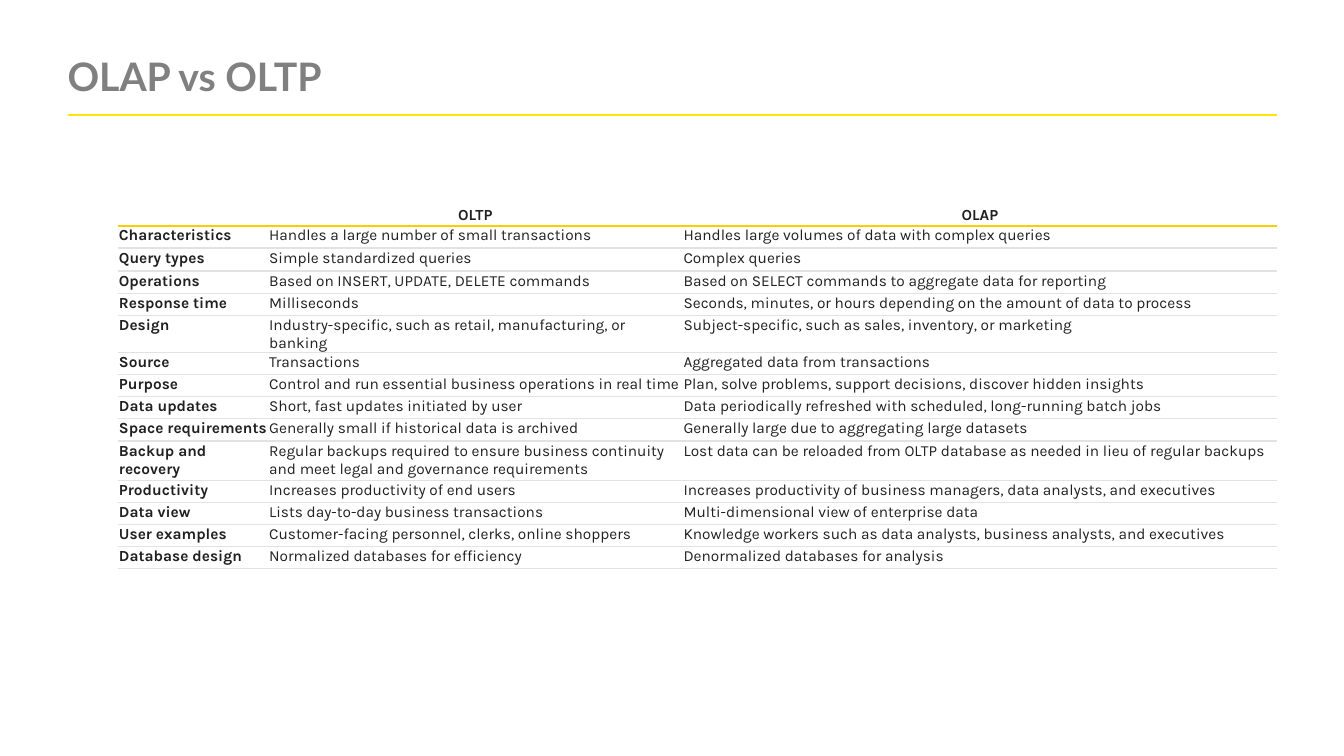
from lxml.etree import SubElement
from pptx import Presentation
from pptx.dml.color import RGBColor
from pptx.enum.shapes import MSO_CONNECTOR
from pptx.enum.text import MSO_ANCHOR, PP_ALIGN
from pptx.oxml.ns import qn
from pptx.util import Inches, Pt

COLUMN_WIDTHS = (1.49, 4.11, 5.9)
ROW_HEIGHT = 0.22
TALL_ROWS = {"Query types": 0.23, "Backup and recovery": 0.39}
TEXT_SIZE = 11
COMPARISON = [
    ("", "OLTP", "OLAP"),
    ("Characteristics", "Handles a large number of small transactions",
     "Handles large volumes of data with complex queries"),
    ("Query types", "Simple standardized queries", "Complex queries"),
    ("Operations", "Based on INSERT, UPDATE, DELETE commands",
     "Based on SELECT commands to aggregate data for reporting"),
    ("Response time", "Milliseconds",
     "Seconds, minutes, or hours depending on the amount of data to process"),
    ("Design", "Industry-specific, such as retail, manufacturing, or banking",
     "Subject-specific, such as sales, inventory, or marketing"),
    ("Source", "Transactions", "Aggregated data from transactions"),
    ("Purpose", "Control and run essential business operations in real time",
     "Plan, solve problems, support decisions, discover hidden insights"),
    ("Data updates", "Short, fast updates initiated by user",
     "Data periodically refreshed with scheduled, long-running batch jobs"),
    ("Space requirements", "Generally small if historical data is archived",
     "Generally large due to aggregating large datasets"),
    ("Backup and recovery",
     "Regular backups required to ensure business continuity and meet legal and governance requirements",
     "Lost data can be reloaded from OLTP database as needed in lieu of regular backups"),
    ("Productivity", "Increases productivity of end users",
     "Increases productivity of business managers, data analysts, and executives"),
    ("Data view", "Lists day-to-day business transactions",
     "Multi-dimensional view of enterprise data"),
    ("User examples", "Customer-facing personnel, clerks, online shoppers",
     "Knowledge workers such as data analysts, business analysts, and executives"),
    ("Database design", "Normalized databases for efficiency",
     "Denormalized databases for analysis"),
]


def color(hex_code):
    """Turn a hex string into a colour."""
    return RGBColor.from_string(hex_code)


def add_text(paragraph, text, font_name, size, hex_code, bold):
    """Add one formatted run."""
    run = paragraph.add_run()
    run.text = text
    run.font.name = font_name
    run.font.size = Pt(size)
    run.font.bold = bold
    run.font.color.rgb = color(hex_code)


def set_border(cell, side, hex_code=None, width=1):
    """Draw one side of a cell, or clear it when no colour is given."""
    border = SubElement(cell._tc.get_or_add_tcPr(), qn(f"a:ln{side}"), w=str(Pt(width)))
    if hex_code:
        fill = SubElement(border, qn("a:solidFill"))
        SubElement(fill, qn("a:srgbClr"), val=hex_code)
    else:
        SubElement(border, qn("a:noFill"))


def rule_cell(cell, row_index):
    """Give a cell its horizontal rules and no fill."""
    rules = {"L": (), "R": (), "T": ("E2E2E2", 1), "B": ("E2E2E2", 1)}
    if row_index == 0:
        rules.update(T=(), B=("FFCC00", 1.5))
    elif row_index == 1:
        rules.update(T=("FFCC00", 1.5))
    for side, rule in rules.items():
        set_border(cell, side, *rule)
    cell.fill.background()


def fill_cell(cell, text, is_header, is_label):
    """Write a cell's text with its margins and alignment."""
    cell.margin_left = cell.margin_right = cell.margin_top = Inches(0.01)
    cell.margin_bottom = 0
    cell.vertical_anchor = MSO_ANCHOR.MIDDLE if is_header else MSO_ANCHOR.TOP
    paragraph = cell.text_frame.paragraphs[0]
    paragraph.alignment = PP_ALIGN.CENTER if is_header else PP_ALIGN.LEFT
    if text:
        add_text(paragraph, text, "Karla", TEXT_SIZE, "202020", is_header or is_label)
    else:
        SubElement(paragraph._p, qn("a:endParaRPr"), sz=str(TEXT_SIZE * 100))


def add_heading(slide, text, left, top, width, height):
    """Place the title and the yellow rule at the foot of its box."""
    title = slide.shapes.title
    title.left, title.top, title.width, title.height = map(Inches, (left, top, width, height))
    frame = title.text_frame
    frame.margin_left = frame.margin_right = frame.margin_top = frame.margin_bottom = 0
    frame.vertical_anchor = MSO_ANCHOR.TOP
    frame.word_wrap = True
    paragraph = frame.paragraphs[0]
    paragraph.alignment = PP_ALIGN.LEFT
    paragraph.line_spacing = 0.85
    add_text(paragraph, text, "Lato", 28, "808080", True)

    foot = Inches(top + height - 0.01)
    rule = slide.shapes.add_connector(
        MSO_CONNECTOR.STRAIGHT, Inches(left), foot, Inches(left + width), foot)
    rule.line.color.rgb = color("FFE600")
    rule.line.width = Pt(1.5)
    SubElement(rule._element.spPr, qn("a:effectLst"))


def add_comparison(slide, left, top):
    """Build the comparison table from its top left corner."""
    heights = [TALL_ROWS.get(row[0], ROW_HEIGHT) for row in COMPARISON]
    table = slide.shapes.add_table(
        len(COMPARISON), len(COLUMN_WIDTHS), Inches(left), Inches(top),
        Inches(sum(COLUMN_WIDTHS)), Inches(sum(heights))).table
    table.first_row = table.horz_banding = False
    for column, width in zip(table.columns, COLUMN_WIDTHS):
        column.width = Inches(width)
    for row_index, texts in enumerate(COMPARISON):
        table.rows[row_index].height = Inches(heights[row_index])
        for column_index, text in enumerate(texts):
            cell = table.cell(row_index, column_index)
            fill_cell(cell, text, row_index == 0, column_index == 0)
            rule_cell(cell, row_index)


def main():
    """Build and save the slide."""
    deck = Presentation()
    deck.slide_width, deck.slide_height = Inches(13.33), Inches(7.5)
    slide = deck.slides.add_slide(deck.slide_layouts[5])
    add_heading(slide, "OLAP vs OLTP", 0.67, 0.59, 12, 0.56)
    add_comparison(slide, 1.17, 2.02)
    deck.save("out.pptx")


if __name__ == "__main__":
    main()
